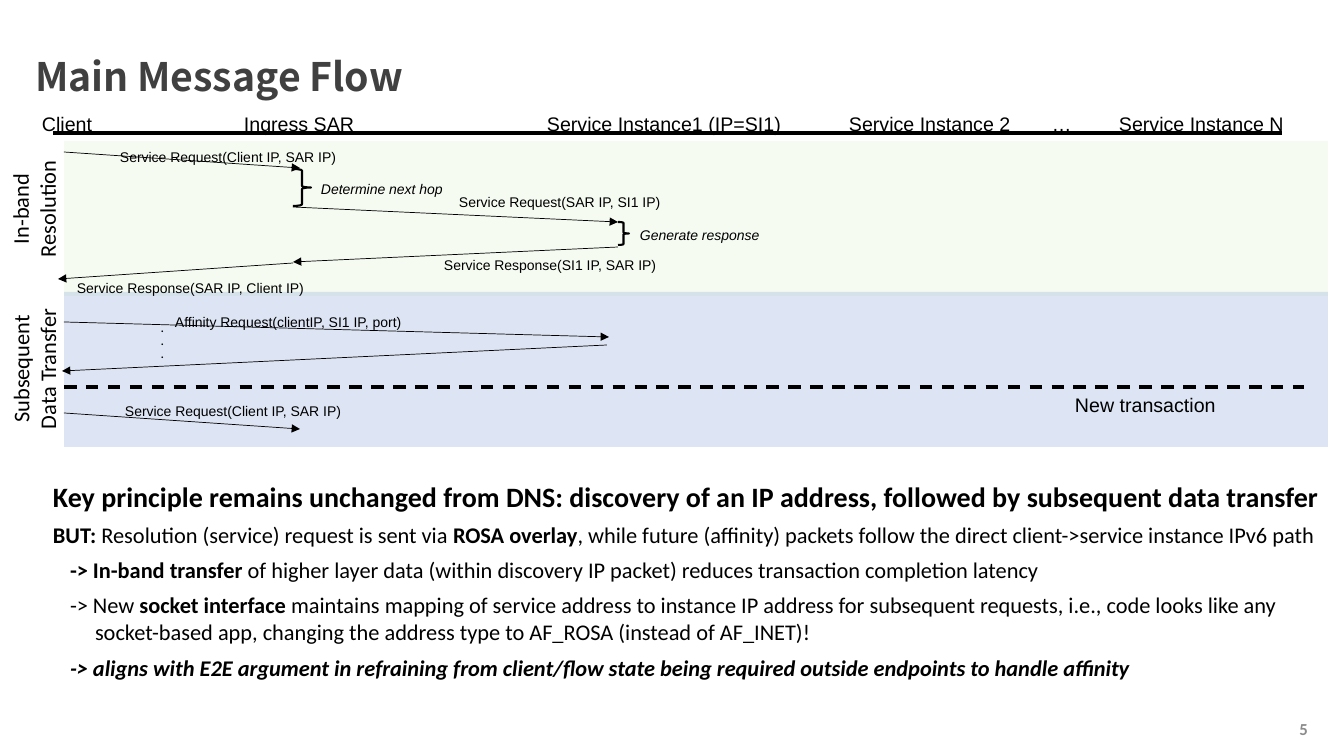
"""Build the Main Message Flow slide: a sequence diagram above its key principles."""
import dataclasses
import pptx
import pptx.dml.color
import pptx.enum.dml
import pptx.enum.shapes
import pptx.enum.text
import pptx.oxml
import pptx.oxml.ns
import pptx.util


@dataclasses.dataclass(frozen=True)
class Theme:
    ink: str = "000000"
    heading: str = "404040"
    page: str = "8C8C8C"
    resolution: str = "DFF3D2"
    transfer: str = "8FAADC"
    title_font: str = "Noto Sans CJK SC"
    body_font: str = "Calibri"
    diagram_font: str = "Arial"
    title_size: int = 28
    lead_size: int = 20
    body_size: int = 16
    column_size: int = 14
    page_size: int = 12
    label_size: int = 10
    dots_size: int = 8


THEME = Theme()
PX = 914400 / 100.8
ALIGN = pptx.enum.text.PP_ALIGN
NS = 'xmlns:a="http://schemas.openxmlformats.org/drawingml/2006/main"'
qn = pptx.oxml.ns.qn
rgb = pptx.dml.color.RGBColor.from_string


def write(box, place, text, size, font=THEME.diagram_font, color=THEME.ink, bold=False,
          italic=False, align=ALIGN.LEFT, spacing=None, wrap=True):
    """Place a box and set its text in one style."""
    box.left, box.top, box.width, box.height = [int(v * PX) for v in place]
    frame = box.text_frame
    frame.text = text
    frame.word_wrap = wrap
    frame.auto_size = pptx.enum.text.MSO_AUTO_SIZE.NONE
    frame.margin_left = frame.margin_right = frame.margin_top = frame.margin_bottom = 0
    for paragraph in frame.paragraphs:
        paragraph.alignment = align
        paragraph.line_spacing = spacing
        for run in paragraph.runs:
            run.font.name, run.font.size = font, pptx.util.Pt(size)
            run.font.bold, run.font.italic = bold, italic
            run.font.color.rgb = rgb(color)
    return frame


def draw_line(x1, y1, x2, y2, width, arrow=False):
    """Draw a straight line, with an arrowhead at its end if asked."""
    ends = [int(v * PX) for v in (x1, y1, x2, y2)]
    line = slide.shapes.add_connector(pptx.enum.shapes.MSO_CONNECTOR.STRAIGHT, *ends)
    line.line.color.rgb = rgb(THEME.ink)
    line.line.width = pptx.util.Pt(width)
    if arrow:
        line.line._get_or_add_ln().append(pptx.oxml.parse_xml(f'<a:tailEnd {NS} type="triangle"/>'))
    line._element.spPr.append(pptx.oxml.parse_xml(f"<a:effectLst {NS}/>"))
    return line


deck = pptx.Presentation()
deck.slide_width, deck.slide_height = int(1344 * PX), int(756 * PX)
slide = deck.slides.add_slide(deck.slide_layouts[1])
shapes = slide.shapes

title = write(shapes.title, (35, 45, 1284, 67), "Main Message Flow", THEME.title_size,
              THEME.title_font, THEME.heading, bold=True, spacing=0.9)
title.vertical_anchor = pptx.enum.text.MSO_ANCHOR.MIDDLE
page = write(shapes.add_textbox(0, 0, 0, 0), (1016, 709, 292, 40), "5", THEME.page_size,
             THEME.body_font, THEME.page, bold=True, align=ALIGN.RIGHT)
page.vertical_anchor = pptx.enum.text.MSO_ANCHOR.MIDDLE

principles = [
    (0, [("Key principle remains unchanged from DNS: discovery of an IP address, "
          "followed by subsequent data transfer", "b")]),
    (0, [("BUT: ", "b"), ("Resolution (service) request is sent via ", ""), ("ROSA overlay", "b"),
         (", while future (affinity) packets follow the direct client->service instance IPv6 path", "")]),
    (1, [("-> In-band transfer ", "b"),
         ("of higher layer data (within discovery IP packet) reduces transaction completion latency", "")]),
    (1, [("-> New ", ""), ("socket interface ", "b"),
         ("maintains mapping of service address to instance IP address for subsequent requests, "
          "i.e., code looks like any", ""), ("\v", ""),
         ("socket-based app, changing the address type to AF_ROSA (instead of AF_INET)!", "")]),
    (1, [("-> aligns with E2E argument in refraining from client/flow state being required "
          "outside endpoints to handle affinity", "bi")]),
]
body = write(slide.placeholders[1], (52, 479, 1277, 226), "", THEME.body_size)
for row, (level, pieces) in enumerate(principles):
    principle = body.paragraphs[0] if row == 0 else body.add_paragraph()
    principle.level = level
    principle.space_before, principle.space_after = pptx.util.Pt(0), pptx.util.Pt(6)
    margin, hanging = ((1, 0), (43, -25))[level]
    properties = principle._p.get_or_add_pPr()
    properties.set("marL", str(int(margin * PX)))
    properties.set("indent", str(int(hanging * PX)))
    properties.append(pptx.oxml.parse_xml(f"<a:buNone {NS}/>"))
    for text, style in pieces:
        if text == "\v":
            principle.add_line_break()
            continue
        run = principle.add_run()
        run.text = text
        run.font.name = THEME.body_font
        run.font.size = pptx.util.Pt(THEME.body_size if row else THEME.lead_size)
        run.font.bold, run.font.italic = "b" in style, "i" in style
        run.font.color.rgb = rgb(THEME.ink)

phases = [
    (141, THEME.resolution, "In-band\nResolution", (-15, 182, 97, 54)),
    (292, THEME.transfer, "Subsequent\nData Transfer", (-27, 342, 122, 54)),
]
for top, color, name, place in phases:
    band = shapes.add_shape(pptx.enum.shapes.MSO_SHAPE.RECTANGLE,
                            *[int(v * PX) for v in (64, top, 1264, 155)])
    band.shadow.inherit = False
    band.line.fill.background()
    band.fill.solid()
    band.fill.fore_color.rgb = rgb(color)
    band.fill._xPr.find(qn("a:solidFill"))[0].append(
        pptx.oxml.parse_xml(f'<a:alpha {NS} val="30000"/>'))
    phase = shapes.add_textbox(0, 0, 0, 0)
    write(phase, place, name, THEME.body_size, THEME.body_font, align=ALIGN.CENTER, wrap=False)
    phase.rotation = 270

draw_line(53, 133, 1282, 133, 2.25)
tall = pptx.util.Pt(34.4)
columns = write(shapes.add_textbox(0, 0, 0, 0), (42, 87, 1253, 48),
                "Client\tIngress SAR\tService Instance1 (IP=SI1)\tService Instance 2\t…\tService Instance N",
                THEME.column_size, spacing=tall)
stops = "".join(f'<a:tab pos="{int(x * PX)}" algn="l"/>' for x in (202, 505, 807, 1010, 1077))
columns.paragraphs[0]._p.get_or_add_pPr().append(
    pptx.oxml.parse_xml(f"<a:tabLst {NS}>{stops}</a:tabLst>"))

messages = [
    (64, 152, 300, 168), (293, 207, 618, 222), (618, 247, 293, 262), (293, 263, 58, 279),
    (64, 322, 609, 337), (607, 345, 62, 371), (64, 413, 300, 429),
]
for ends in messages:
    draw_line(*ends, 0.5, arrow=True)

for place in [(293, 169, 18, 37), (618, 222, 11, 23)]:
    brace = shapes.add_shape(pptx.enum.shapes.MSO_SHAPE.RIGHT_BRACE, *[int(v * PX) for v in place])
    brace.shadow.inherit = False
    brace.fill.background()
    brace.line.color.rgb = rgb(THEME.ink)
    brace.line.width = pptx.util.Pt(1.5)

labels = [
    ((120, 117, 434, 39), "Service Request(Client IP, SAR IP)", tall, False),
    ((321, 181, 130, 17), "Determine next hop", None, True),
    ((459, 194, 436, 17), "Service Request(SAR IP, SI1 IP)", None, False),
    ((640, 227, 130, 17), "Generate response", None, True),
    ((444, 257, 485, 17), "Service Response(SI1 IP, SAR IP)", None, False),
    ((77, 280, 509, 17), "Service Response(SAR IP, Client IP)", None, False),
    ((175, 282, 240, 48), "Affinity Request(clientIP, SI1 IP, port)", tall, False),
    ((125, 371, 434, 39), "Service Request(Client IP, SAR IP)", tall, False),
]
for place, text, spacing, italic in labels:
    write(shapes.add_textbox(0, 0, 0, 0), place, text, THEME.label_size, italic=italic, spacing=spacing)

write(shapes.add_textbox(0, 0, 0, 0), (161, 321, 10, 40), ".\n.\n.", THEME.dots_size,
      THEME.body_font, bold=True)

transaction = draw_line(64, 387, 1304, 387, 2.25)
transaction.line.dash_style = pptx.enum.dml.MSO_LINE.DASH
write(shapes.add_textbox(0, 0, 0, 0), (1075, 393, 160, 24), "New transaction", THEME.column_size)

deck.save("out.pptx")
